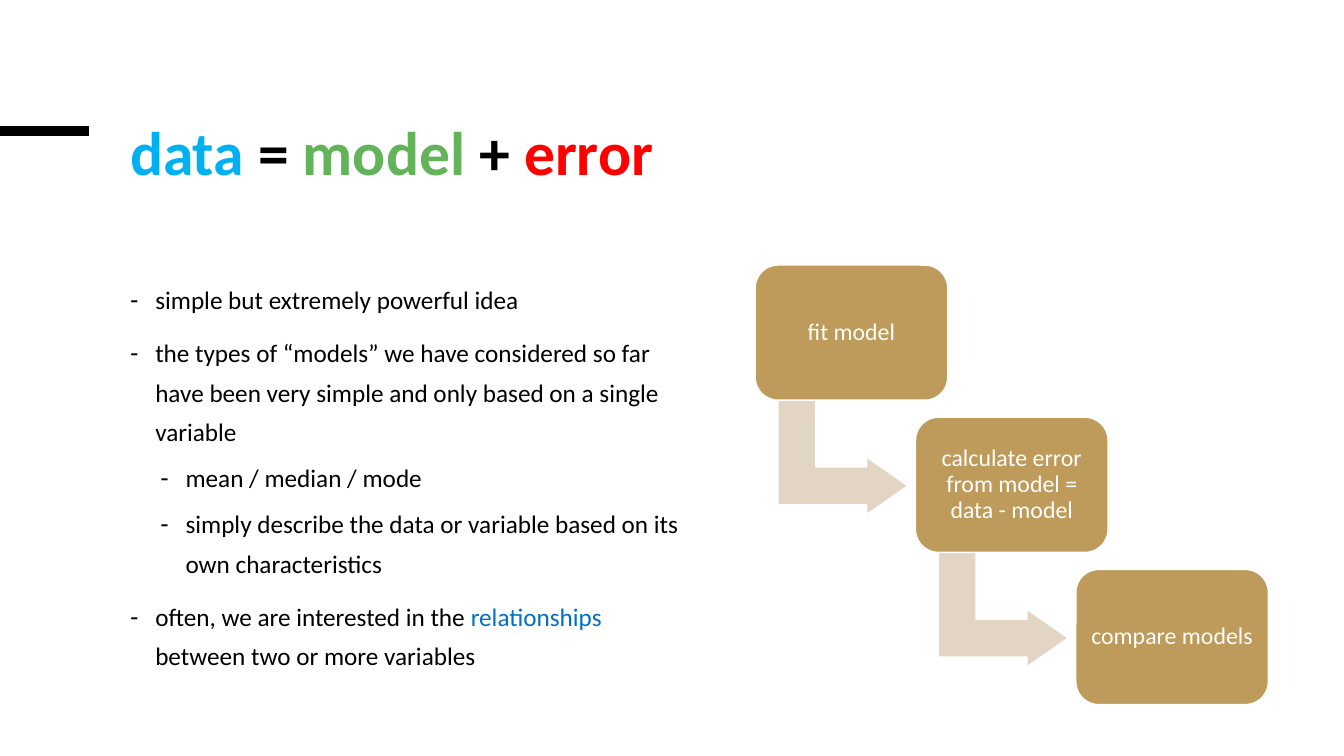
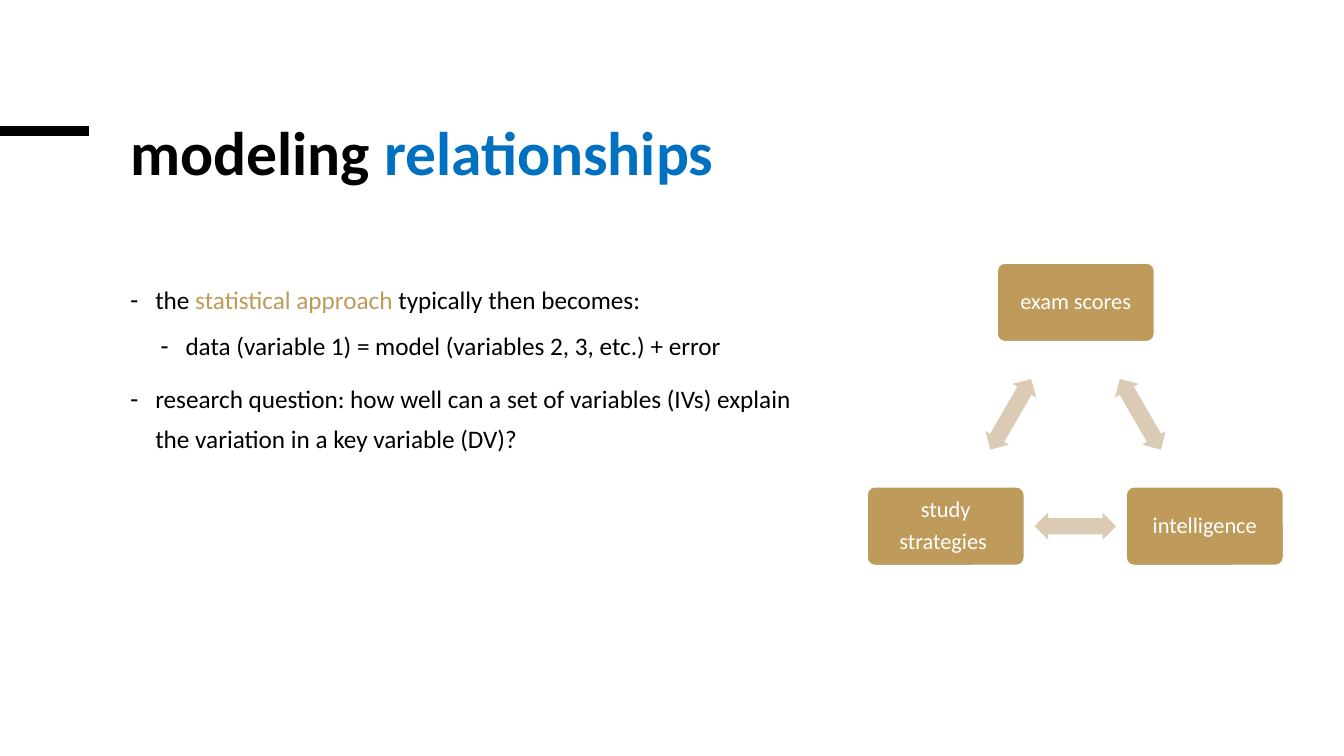
from itertools import combinations
from math import atan2, degrees

from lxml import etree
from pptx import Presentation
from pptx.dml.color import RGBColor
from pptx.enum.shapes import MSO_CONNECTOR, MSO_SHAPE
from pptx.enum.text import MSO_ANCHOR, MSO_AUTO_SIZE, PP_ALIGN
from pptx.oxml.ns import qn
from pptx.util import Pt

PX = 9144  # 100 px to the inch
ROUNDED = MSO_SHAPE.ROUNDED_RECTANGLE
BENT_ARROW = MSO_SHAPE.BENT_UP_ARROW
DOUBLE_ARROW = MSO_SHAPE.LEFT_RIGHT_ARROW
TOP, MIDDLE = MSO_ANCHOR.TOP, MSO_ANCHOR.MIDDLE
CENTER = PP_ALIGN.CENTER

FONT = "Calibri"
BLACK = RGBColor(0x00, 0x00, 0x00)
WHITE = RGBColor(0xFF, 0xFF, 0xFF)
SKY = RGBColor(0x00, 0xB0, 0xF0)
GREEN = RGBColor(0x62, 0xB3, 0x59)
RED = RGBColor(0xFF, 0x00, 0x00)
BLUE = RGBColor(0x00, 0x70, 0xC0)
GOLD = RGBColor(0xBE, 0x9B, 0x5A)
SAND = RGBColor(0xE2, 0xD5, 0xC4)
TAN = RGBColor(0xDB, 0xCB, 0xB5)

SLIDE_SIZE = (1333, 750)
TITLE_BOX = (119, 119, 1085, 142)
BODY_LEFT, BODY_TOP, BODY_HEIGHT = 119, 268, 420
RULE_Y, RULE_END = 130, 88

# Text spans are plain strings, or (string, colour) pairs.
MODEL_TITLE = [("data", SKY), " = ", ("model", GREEN), " + ", ("error", RED)]
MODEL_POINTS = [  # (level, spans)
    (0, ["simple but extremely powerful idea"]),
    (0, ["the types of “models” we have considered so far have been very "
         "simple and only based on a single variable"]),
    (1, ["mean / median / mode"]),
    (1, ["simply describe the data or variable based on its own "
         "characteristics"]),
    (0, ["often, we are interested in the ", ("relationships", BLUE),
         " between two or more variables"]),
]
STEPS = ["fit model", "calculate error from model = data - model",
         "compare models"]
STEP_ORIGIN, STEP_SHIFT, STEP_SIZE = (749, 263), (159, 151), (191, 134)
BEND_OFFSET, BEND_SIZE = (30, 126), (114, 129)

RELATION_TITLE = ["modeling ", ("relationships", BLUE)]
RELATION_POINTS = [
    (0, ["the ", ("statistical approach ", GOLD), "typically then becomes:"]),
    (1, ["data (variable 1) = model (variables 2, 3, etc.) + error"]),
    (0, ["research question: how well can a set of variables (IVs) explain "
         "the variation in a key variable (DV)?"]),
]
VARIABLES = [  # (lines, centre)
    (["exam scores"], (1067, 300)),
    (["intelligence"], (1195, 522)),
    (["study", "strategies "], (938, 522)),
]
VARIABLE_SIZE, LINK_SIZE = (156, 78), (81, 27)


def place(shape, left, top, width, height):
    shape.left, shape.top = round(left * PX), round(top * PX)
    shape.width, shape.height = round(width * PX), round(height * PX)


def style(paragraph, size, color, line_spacing, bold=False):
    paragraph.line_spacing = line_spacing
    font = paragraph.font
    font.name, font.size, font.bold = FONT, Pt(size), bold
    font.color.rgb = color


def add_spans(paragraph, spans):
    for item in spans:
        text, color = (item, None) if isinstance(item, str) else item
        span = paragraph.add_run()
        span.text = text
        if color is not None:
            span.font.color.rgb = color


def add_dash(paragraph, margin):
    """Give the paragraph a hanging dash bullet."""
    props = paragraph._p.get_or_add_pPr()
    props.set("marL", str(margin * PX))
    props.set("indent", str(-25 * PX))
    etree.SubElement(props, qn("a:buChar")).set("char", "-")


def add_figure(page, kind, frame, fill, adjustments, outlined=True):
    figure = page.shapes.add_shape(kind, 0, 0, PX, PX)
    place(figure, *frame)
    figure.shadow.inherit = False
    figure.fill.solid()
    figure.fill.fore_color.rgb = fill
    if outlined:
        figure.line.color.rgb = WHITE
        figure.line.width = Pt(1)
    else:
        figure.line.fill.background()
    for index, value in enumerate(adjustments):
        figure.adjustments[index] = value
    return figure


def add_label_box(page, frame, lines, size, corner):
    box = add_figure(page, ROUNDED, frame, GOLD, [corner])
    text = box.text_frame
    text.word_wrap, text.vertical_anchor = True, MIDDLE
    text.margin_left = text.margin_right = 7 * PX
    text.margin_top = text.margin_bottom = 7 * PX
    text.text = "\n".join(lines)
    for para in text.paragraphs:
        para.alignment = CENTER
        para.space_after = Pt(0.35 * size)
        style(para, size, WHITE, 0.9)


def add_master_rule(deck):
    """Draw the short bar beside the title on the slide master."""
    master = deck.slide_master
    page = deck.slides[0]
    rule = page.shapes.add_connector(
        MSO_CONNECTOR.STRAIGHT, 0, RULE_Y * PX, RULE_END * PX, RULE_Y * PX)
    rule.line.color.rgb = BLACK
    rule.line.width = Pt(6.75)
    etree.SubElement(rule._element.spPr, qn("a:effectLst"))
    master.shapes._spTree.append(rule._element)


def add_page(deck, title_spans, points, body_width):
    page = deck.slides.add_slide(deck.slide_layouts[1])
    title, body = page.placeholders
    place(title, *TITLE_BOX)
    place(body, BODY_LEFT, BODY_TOP, body_width, BODY_HEIGHT)
    for holder in (title, body):
        holder.text_frame.vertical_anchor = TOP
        holder.text_frame.auto_size = MSO_AUTO_SIZE.NONE

    heading = title.text_frame.paragraphs[0]
    heading.alignment = PP_ALIGN.LEFT
    style(heading, 44, BLACK, 0.85, bold=True)
    add_spans(heading, title_spans)

    text = body.text_frame
    for index, (level, spans) in enumerate(points):
        para = text.add_paragraph() if index else text.paragraphs[0]
        para.level = level
        add_dash(para, 55 if level else 25)
        para.space_before = Pt(5 if level else 10)
        style(para, 18, BLACK, 1.3)
        add_spans(para, spans)
    return page


def add_staircase(page):
    for index, label in enumerate(STEPS):
        left, top = (start + index * shift
                     for start, shift in zip(STEP_ORIGIN, STEP_SHIFT))
        if index < len(STEPS) - 1:
            bend = add_figure(
                page, BENT_ARROW,
                (left + BEND_OFFSET[0], top + BEND_OFFSET[1], *BEND_SIZE),
                SAND, [0.33, 0.25, 0.36])
            bend.rotation = 90
        add_label_box(page, (left, top, *STEP_SIZE), [label], 17, 0.17)


def centered(x, y, size):
    width, height = size
    return x - width / 2, y - height / 2, width, height


def add_triangle(page):
    for lines, center in VARIABLES:
        add_label_box(page, centered(*center, VARIABLE_SIZE), lines, 16, 0.1)
    centers = [center for _, center in VARIABLES]
    for (x1, y1), (x2, y2) in combinations(centers, 2):
        link = add_figure(
            page, DOUBLE_ARROW,
            centered((x1 + x2) / 2, (y1 + y2) / 2, LINK_SIZE),
            TAN, [0.6, 0.5], outlined=False)
        link.rotation = round(degrees(atan2(y2 - y1, x2 - x1))) % 360


def main():
    deck = Presentation()
    deck.slide_width, deck.slide_height = (side * PX for side in SLIDE_SIZE)
    add_staircase(add_page(deck, MODEL_TITLE, MODEL_POINTS, 582))
    add_triangle(add_page(deck, RELATION_TITLE, RELATION_POINTS, 692))
    add_master_rule(deck)
    deck.save("out.pptx")


if __name__ == "__main__":
    main()
